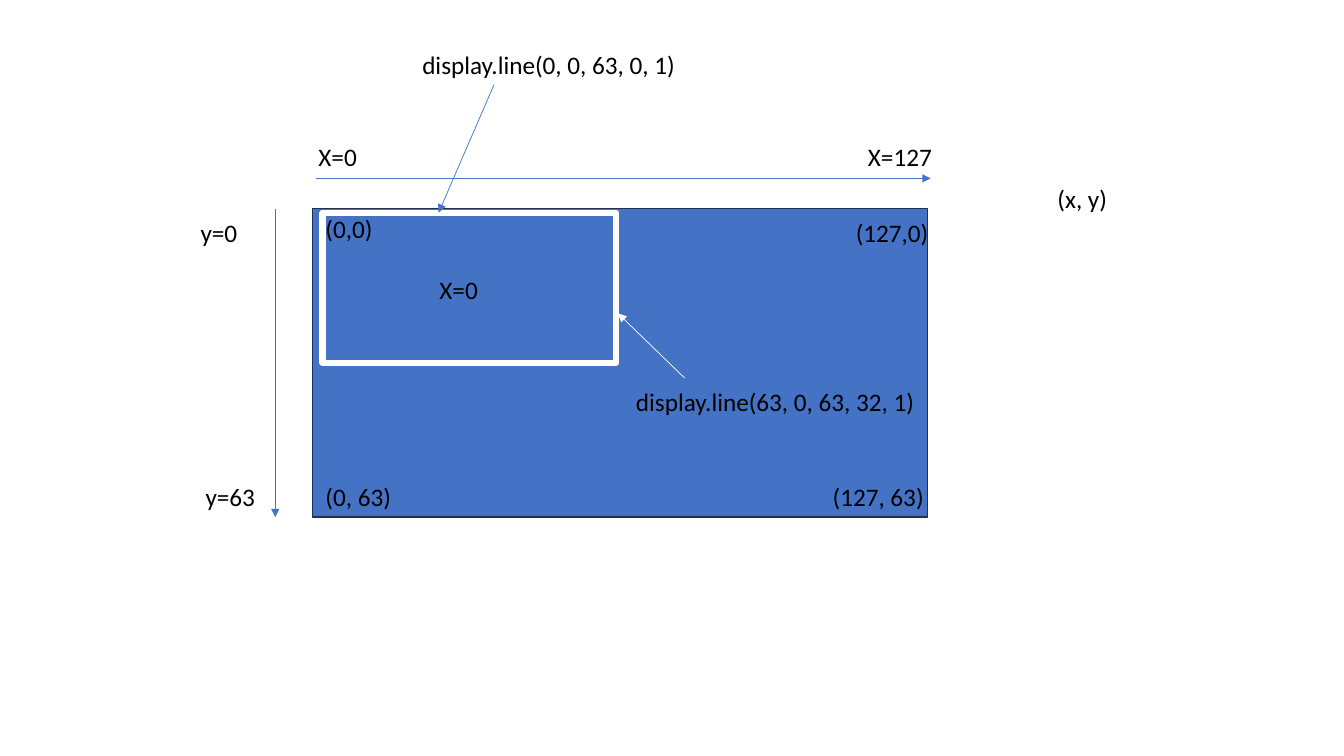
"""Draw the pixel coordinate system of a 128 by 64 display."""
import lxml.etree
import pptx
import pptx.dml.color
import pptx.enum.shapes
import pptx.enum.text
import pptx.oxml.ns
import pptx.util

BLUE = pptx.dml.color.RGBColor(0x44, 0x72, 0xC4)
NAVY = pptx.dml.color.RGBColor(0x1E, 0x32, 0x56)
WHITE = pptx.dml.color.RGBColor(0xFF, 0xFF, 0xFF)
BLACK = pptx.dml.color.RGBColor(0x00, 0x00, 0x00)
EMU_PER_PX = 9144

SCREEN_LEFT, SCREEN_TOP, SCREEN_WIDTH, SCREEN_HEIGHT = 310, 207, 610, 306
SCREEN_BOTTOM = SCREEN_TOP + SCREEN_HEIGHT
AXIS_X_LEFT, AXIS_X_TOP, AXIS_Y_LEFT = 313, 177, 273
X_LABEL_TOP, TOP_LABEL_TOP = 135, 211
LABEL_HEIGHT = 40
BOTTOM_LABEL_TOP = SCREEN_BOTTOM - LABEL_HEIGHT

CORNER_LABELS = [
    ("(0,0)", AXIS_X_LEFT, SCREEN_TOP, 96),
    ("(127,0)", 839, TOP_LABEL_TOP, 113),
    ("(0, 63)", AXIS_X_LEFT, BOTTOM_LABEL_TOP, 113),
    ("(127, 63)", 816, BOTTOM_LABEL_TOP, 151),
]
FREE_LABELS = [
    ("(x, y)", 1039, AXIS_X_TOP, 70),
    ("X=0", 306, X_LABEL_TOP, 65),
    ("X=127", 851, X_LABEL_TOP, 90),
    ("y=0", 189, TOP_LABEL_TOP, 65),
    ("y=63", 194, BOTTOM_LABEL_TOP, 76),
    ("X=0", 426, 267, 65),
]


def px(length):
    """Turn whole pixels into EMU."""
    return pptx.util.Emu(length * EMU_PER_PX)


class Diagram:
    """Hold the text style and the slide that receives the elements."""

    def __init__(self, slide, font_name, font_size):
        """Keep the slide and its text style."""
        self.slide = slide
        self.font_name = font_name
        self.font_size = pptx.util.Pt(font_size)

    def rectangle(self, left, top, width, height, line, weight, fill=None):
        """Add an outlined rectangle, hollow unless a fill is given."""
        shape = self.slide.shapes.add_shape(
            pptx.enum.shapes.MSO_SHAPE.RECTANGLE,
            px(left), px(top), px(width), px(height))
        shape.shadow.inherit = False
        if fill is None:
            shape.fill.background()
        else:
            shape.fill.solid()
            shape.fill.fore_color.rgb = fill
        shape.line.color.rgb = line
        shape.line.width = pptx.util.Pt(weight)

    def label(self, text, left, top, width, wrap=False):
        """Add a one-line text label."""
        shape = self.slide.shapes.add_textbox(
            px(left), px(top), px(width), px(LABEL_HEIGHT))
        frame = shape.text_frame
        frame.word_wrap = wrap
        frame.auto_size = pptx.enum.text.MSO_AUTO_SIZE.SHAPE_TO_FIT_TEXT
        paragraph = frame.paragraphs[0]
        paragraph.text = text
        paragraph.font.name = self.font_name
        paragraph.font.size = self.font_size
        paragraph.font.color.rgb = BLACK

    def arrow(self, start, end, color=BLUE):
        """Add a thin arrow with its head at the end point."""
        connector = self.slide.shapes.add_connector(
            pptx.enum.shapes.MSO_CONNECTOR.STRAIGHT,
            px(start[0]), px(start[1]), px(end[0]), px(end[1]))
        connector.line.color.rgb = color
        connector.line.width = pptx.util.Pt(0.5)
        qn = pptx.oxml.ns.qn
        properties = connector.element.spPr
        lxml.etree.SubElement(
            properties.find(qn("a:ln")), qn("a:tailEnd"), type="triangle")
        lxml.etree.SubElement(properties, qn("a:effectLst"))


def main():
    """Build the slide and save it."""
    presentation = pptx.Presentation()
    presentation.slide_width = px(1333)
    presentation.slide_height = px(750)
    slide = presentation.slides.add_slide(presentation.slide_layouts[6])
    diagram = Diagram(slide, "Calibri", 18)

    diagram.rectangle(SCREEN_LEFT, SCREEN_TOP, SCREEN_WIDTH, SCREEN_HEIGHT,
                      NAVY, 1, BLUE)
    diagram.arrow((AXIS_X_LEFT, AXIS_X_TOP),
                  (AXIS_X_LEFT + SCREEN_WIDTH, AXIS_X_TOP))
    diagram.arrow((AXIS_Y_LEFT, SCREEN_TOP), (AXIS_Y_LEFT, SCREEN_BOTTOM))
    for label in CORNER_LABELS:
        diagram.label(*label, wrap=True)
    for label in FREE_LABELS:
        diagram.label(*label)

    diagram.rectangle(320, 211, 291, 149, WHITE, 4.5)
    diagram.label("display.line(0, 0, 63, 0, 1)", 409, 44, 274)
    diagram.arrow((490, 84), (435, 211))
    diagram.label("display.line(63, 0, 63, 32, 1)", 621, 378, 300)
    diagram.arrow((679, 375), (613, 311), WHITE)

    presentation.save("out.pptx")


if __name__ == "__main__":
    main()
